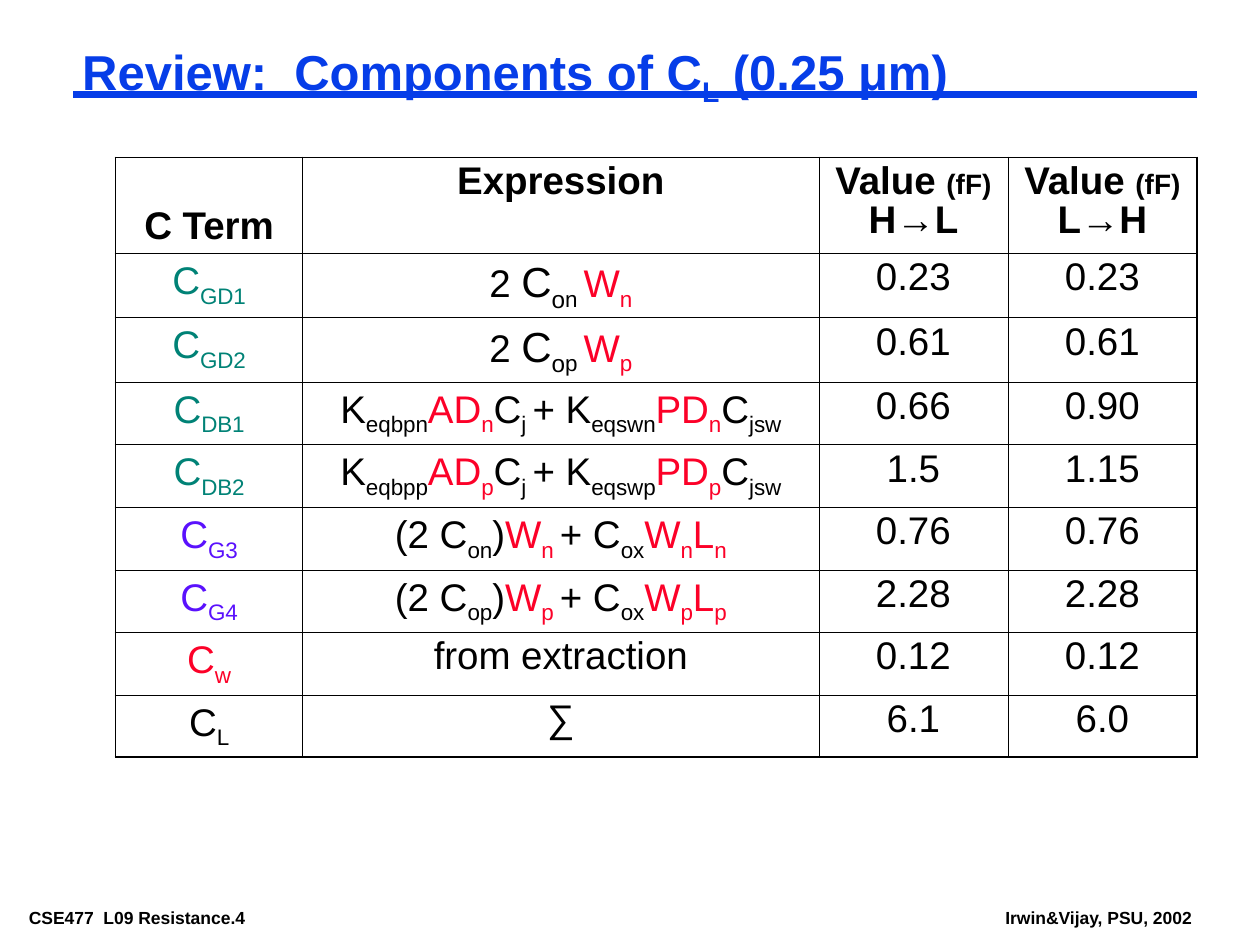
from pptx import Presentation
from pptx.dml import color as dml_color
from pptx.enum import shapes, text
from pptx.oxml import ns, xmlchemy
from pptx.util import Pt

BLUE = "063DE8"
BLACK = "000000"
RED = "FC0128"
TEAL = "008276"
VIOLET = "5A11FD"


def rgb(value):
    return dml_color.RGBColor.from_string(value)


def base(content, color=BLACK, size=22):
    return content, color, size, False


def sub(content, color=BLACK, size=22):
    return content, color, size, True


def term(name, color):
    return [base("C", color), sub(name, color)]


def overlap(kind):
    return [base("2 "), base("C", size=24), sub("o", size=24), sub(f"{kind} "),
            base("W", RED), sub(kind, RED)]


def junction(kind):
    return [base("K"), sub(f"eqbp{kind}"), base("AD", RED), sub(kind, RED),
            base("C"), sub("j "), base("+ K"), sub(f"eqsw{kind}"),
            base("PD", RED), sub(kind, RED), base("C"), sub("jsw")]


def gate(kind):
    return [base("(2 C"), sub(f"o{kind}"), base(")"), base("W", RED),
            sub(f"{kind} ", RED), base("+ C"), sub("ox"), base("W", RED),
            sub(kind, RED), base("L", RED), sub(kind, RED)]


def value_heading(transition):
    return [base("Value "), base("(fF)", size=16), base(f" {transition}")]


class SlideBuilder:
    font = "Arial"
    thin = 0.45
    thick = 1.08

    def __init__(self, presentation):
        self.slide = presentation.slides.add_slide(presentation.slide_layouts[5])

    def add_runs(self, paragraph, runs, bold=False, spacing=None):
        paragraph.space_before = Pt(0)
        if spacing:
            paragraph.line_spacing = spacing
        for content, color, size, lowered in runs:
            run = paragraph.add_run()
            run.text = content
            run.font.name = self.font
            run.font.size = Pt(size)
            run.font.bold = bold
            run.font.color.rgb = rgb(color)
            if lowered:
                run.font._element.set("baseline", "-25000")

    def frame(self, shape):
        text_frame = shape.text_frame
        text_frame.word_wrap = True
        text_frame.auto_size = text.MSO_AUTO_SIZE.NONE
        text_frame.margin_left = text_frame.margin_right = Pt(5)
        text_frame.margin_top = text_frame.margin_bottom = Pt(2.5)
        return text_frame

    def title(self, left, top, width, height, runs):
        shape = self.slide.shapes.title
        shape.left, shape.top = Pt(left), Pt(top)
        shape.width, shape.height = Pt(width), Pt(height)
        text_frame = self.frame(shape)
        text_frame.vertical_anchor = text.MSO_ANCHOR.BOTTOM
        paragraph = text_frame.paragraphs[0]
        paragraph.alignment = text.PP_ALIGN.LEFT
        self.add_runs(paragraph, runs, bold=True, spacing=0.87)

    def label(self, left, top, width, height, content):
        shape = self.slide.shapes.add_textbox(Pt(left), Pt(top), Pt(width), Pt(height))
        paragraph = self.frame(shape).paragraphs[0]
        self.add_runs(paragraph, [base(content, size=10)], bold=True)

    def rule(self, left, right, y, color, weight):
        line = self.slide.shapes.add_connector(
            shapes.MSO_CONNECTOR.STRAIGHT, Pt(left), Pt(y), Pt(right), Pt(y))
        line.line.color.rgb = rgb(color)
        line.line.width = Pt(weight)
        line._element.spPr.append(xmlchemy.OxmlElement("a:effectLst"))

    def borders(self, cell, weights):
        properties = cell._tc.get_or_add_tcPr()
        for position, (side, weight) in enumerate(zip("LRTB", weights)):
            border = xmlchemy.OxmlElement(f"a:ln{side}")
            border.set("w", str(Pt(weight)))
            fill = xmlchemy.OxmlElement("a:solidFill")
            shade = xmlchemy.OxmlElement("a:srgbClr")
            shade.set("val", BLACK)
            fill.append(shade)
            border.append(fill)
            properties.insert(position, border)

    def table(self, left, top, widths, heights, rows):
        table = self.slide.shapes.add_table(
            len(heights), len(widths), Pt(left), Pt(top),
            Pt(sum(widths)), Pt(sum(heights))).table
        properties = table._tbl.tblPr
        properties.find(ns.qn("a:tableStyleId")).text = "{2D5ABB26-0587-4C30-8999-92F81FD0307C}"
        table.first_row = table.horz_banding = False
        for column, width in zip(table.columns, widths):
            column.width = Pt(width)
        for row, height in zip(table.rows, heights):
            row.height = Pt(height)
        last_row, last_column = len(heights) - 1, len(widths) - 1
        for i, row in enumerate(rows):
            for j, runs in enumerate(row):
                cell = table.cell(i, j)
                cell.fill.background()
                paragraph = cell.text_frame.paragraphs[0]
                paragraph.alignment = text.PP_ALIGN.CENTER
                self.add_runs(paragraph, runs, bold=i == 0, spacing=0.9)
                outer = (j == 0, j == last_column, i < 2, i in (0, last_row))
                self.borders(cell, [self.thick if edge else self.thin for edge in outer])
        table.cell(0, 0).vertical_anchor = text.MSO_ANCHOR.BOTTOM


def main():
    presentation = Presentation()
    presentation.slide_width, presentation.slide_height = Pt(720), Pt(540)
    builder = SlideBuilder(presentation)

    builder.label(11.5, 516, 176, 16, "CSE477  L09 Resistance.4")
    builder.label(569.5, 516, 118, 16, "Irwin&Vijay, PSU, 2002")
    builder.rule(42, 684, 54, BLUE, 4.5)
    builder.title(42, 24, 642, 37, [
        base("Review:  Components of C", BLUE, 28),
        sub("L", BLUE, 28),
        base(" (0.25 μm)", BLUE, 28),
    ])

    headings = [[base("C Term")], [base("Expression")],
                value_heading("H→L"), value_heading("L→H")]
    components = [
        (term("GD1", TEAL), overlap("n"), "0.23", "0.23"),
        (term("GD2", TEAL), overlap("p"), "0.61", "0.61"),
        (term("DB1", TEAL), junction("n"), "0.66", "0.90"),
        (term("DB2", TEAL), junction("p"), "1.5", "1.15"),
        (term("G3", VIOLET), gate("n"), "0.76", "0.76"),
        (term("G4", VIOLET), gate("p"), "2.28", "2.28"),
        (term("w", RED), [base("from extraction")], "0.12", "0.12"),
        (term("L", BLACK), [base("∑")], "6.1", "6.0"),
    ]
    rows = [headings] + [[name, expression, [base(falling)], [base(rising)]]
                         for name, expression, falling, rising in components]
    builder.table(66, 90, [107, 295, 108, 108],
                  [54.8] + [36.8] * 2 + [35.8] * 5 + [35.4], rows)

    presentation.save("out.pptx")


if __name__ == "__main__":
    main()
